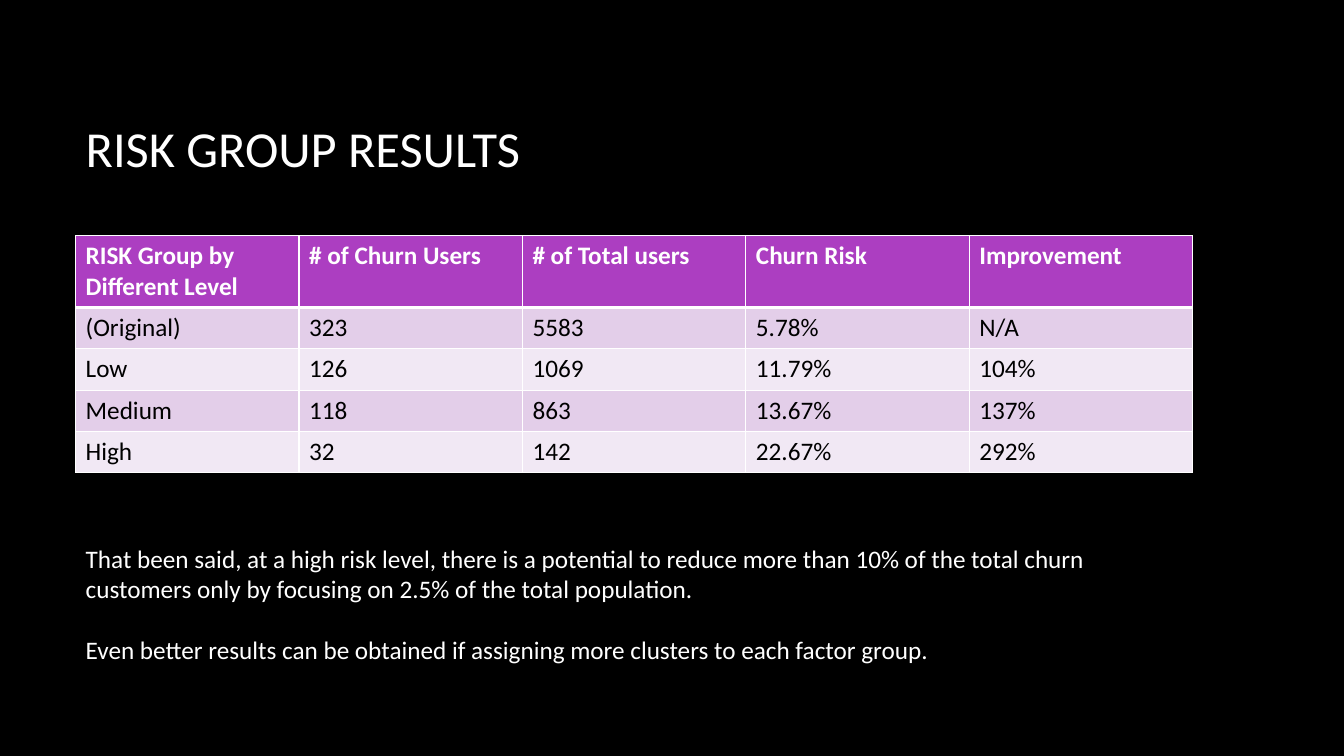
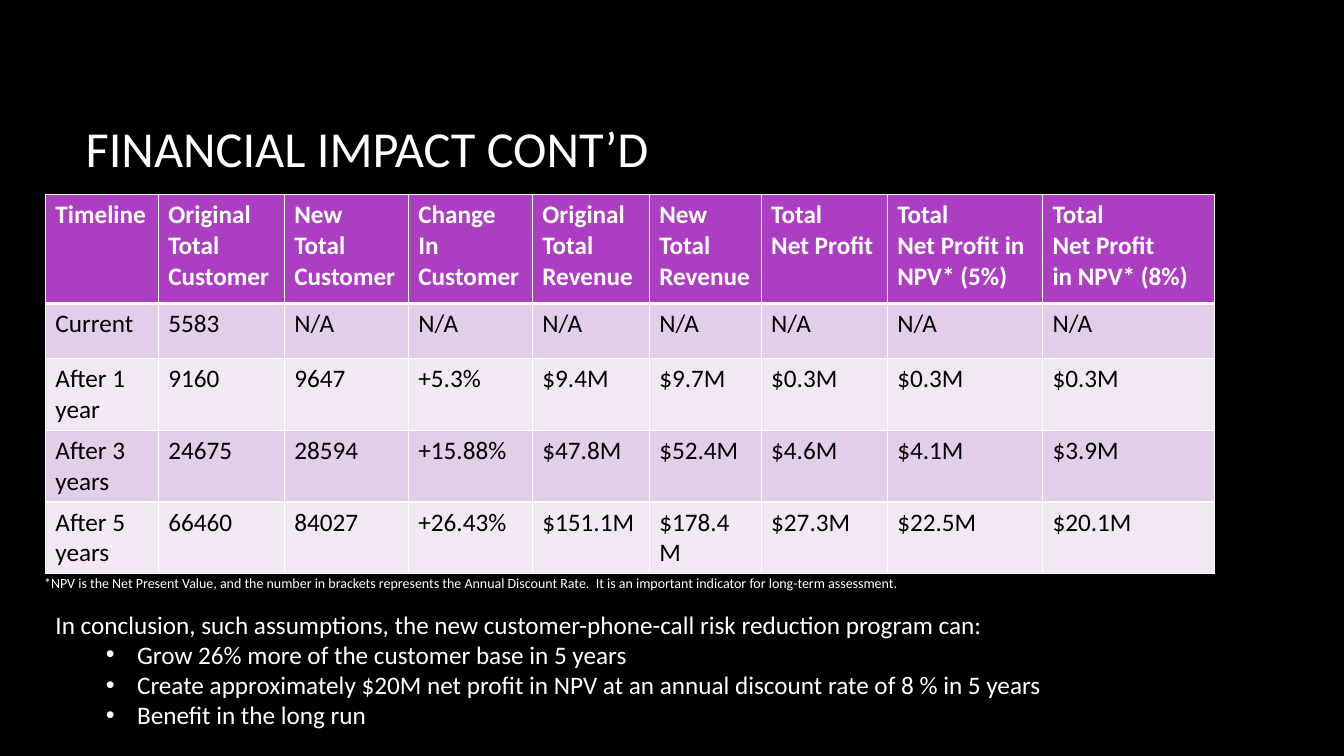
import lxml.etree
import pptx
import pptx.dml.color
import pptx.enum.text
import pptx.oxml.ns
import pptx.util

Inches = pptx.util.Inches
Pt = pptx.util.Pt
qn = pptx.oxml.ns.qn

COLORS = {
    "background": "000000",
    "light_text": "FFFFFF",
    "dark_text": "000000",
    "border": "FFFFFF",
    "header": "AC3EC1",
    "odd_row": "E3CEE9",
    "even_row": "F1E8F4",
}
FONT = "Calibri"
TITLE_BOX = (0.75, 0.67, 11.08, 1.59)
TITLE_SIZE, TEXT_SIZE, NOTE_SIZE = 36, 18, 10
THIN, THICK = 1, 3

RISK_ROWS = [
    ["RISK Group by Different Level", "# of Churn Users", "# of Total users",
     "Churn Risk", "Improvement"],
    ["(Original)", "323", "5583", "5.78%", "N/A"],
    ["Low", "126", "1069", "11.79%", "104%"],
    ["Medium", "118", "863", "13.67%", "137%"],
    ["High", "32", "142", "22.67%", "292%"],
]
RISK_TEXT = [
    "That been said, at a high risk level, there is a potential to reduce more than 10% "
    "of the total churn customers only by focusing on 2.5% of the total population.",
    "Even better results can be obtained if assigning more clusters to each factor group.",
]
IMPACT_ROWS = [
    ["Timeline", "Original Total Customer", "New Total Customer", "Change\nIn\nCustomer",
     "Original\nTotal Revenue", "New\nTotal\nRevenue", "Total\nNet Profit",
     "Total\nNet Profit in NPV* (5%)", "Total\nNet Profit\nin NPV* (8%)"],
    ["Current", "5583"] + ["N/A"] * 7,
    ["After 1 year", "9160", "9647", "+5.3%", "$9.4M", "$9.7M", "$0.3M", "$0.3M", "$0.3M"],
    ["After 3 years", "24675", "28594", "+15.88%", "$47.8M", "$52.4M", "$4.6M", "$4.1M",
     "$3.9M"],
    ["After 5 years", "66460", "84027", "+26.43%", "$151.1M", "$178.4M", "$27.3M", "$22.5M",
     "$20.1M"],
]
IMPACT_NOTE = (
    "*NPV is the Net Present Value, and the number in brackets represents the Annual "
    "Discount Rate.  It is an important indicator for long-term assessment."
)
IMPACT_LEAD = ("In conclusion, such assumptions, the new customer-phone-call risk "
               "reduction program can:")
IMPACT_BULLETS = [
    "Grow 26% more of the customer base in 5 years",
    "Create approximately $20M net profit in NPV at an annual discount rate of 8 % in 5 years",
    "Benefit in the long run",
]


def rgb(name):
    return pptx.dml.color.RGBColor.from_string(COLORS[name])


def place(shape, box):
    shape.left, shape.top, shape.width, shape.height = map(Inches, box)


def set_font(paragraph, size, color="light_text", bold=False):
    font = paragraph.font
    font.name, font.size, font.bold = FONT, Pt(size), bold
    font.color.rgb = rgb(color)


def set_bullet(paragraph, character=None, margin=0, indent=0):
    """Replace the inherited bullet; without a character the paragraph has none."""
    properties = paragraph._p.get_or_add_pPr()
    properties.set("marL", str(Inches(margin)))
    properties.set("indent", str(Inches(indent)))
    if character:
        lxml.etree.SubElement(properties, qn("a:buFont")).set("typeface", "Arial")
        lxml.etree.SubElement(properties, qn("a:buChar")).set("char", character)
    else:
        lxml.etree.SubElement(properties, qn("a:buNone"))


def set_borders(cell, top, bottom):
    properties = cell._tc.get_or_add_tcPr()
    for side, width in (("L", THIN), ("R", THIN), ("T", top), ("B", bottom)):
        line = lxml.etree.SubElement(properties, qn("a:ln" + side), w=str(Pt(width)))
        fill = lxml.etree.SubElement(line, qn("a:solidFill"))
        lxml.etree.SubElement(fill, qn("a:srgbClr"), val=COLORS["border"])


def add_titled_slide(presentation, title):
    slide = presentation.slides.add_slide(presentation.slide_layouts[1])
    place(slide.shapes.title, TITLE_BOX)
    slide.shapes.title.text = title
    paragraph = slide.shapes.title.text_frame.paragraphs[0]
    paragraph.alignment = pptx.enum.text.PP_ALIGN.LEFT
    set_font(paragraph, TITLE_SIZE)
    return slide


def add_grid(slide, left, top, column_widths, row_heights, rows):
    frame = slide.shapes.add_table(
        len(rows), len(column_widths), Inches(left), Inches(top),
        Inches(sum(column_widths)), Inches(sum(row_heights)))
    table = frame.table
    for column, width in zip(table.columns, column_widths):
        column.width = Inches(width)
    for row, height in zip(table.rows, row_heights):
        row.height = Inches(height)
    for row_index, texts in enumerate(rows):
        is_header = row_index == 0
        fill = "header" if is_header else "odd_row" if row_index % 2 else "even_row"
        for column_index, text in enumerate(texts):
            cell = table.cell(row_index, column_index)
            cell.text = text
            set_borders(cell, THICK if row_index == 1 else THIN,
                        THICK if is_header else THIN)
            cell.fill.solid()
            cell.fill.fore_color.rgb = rgb(fill)
            for paragraph in cell.text_frame.paragraphs:
                set_font(paragraph, TEXT_SIZE,
                         "light_text" if is_header else "dark_text", is_header)


def fill_body(slide, box, texts, bullets=(), gap=0):
    """Write plain paragraphs, gap points apart, then bulleted ones."""
    body = slide.placeholders[1]
    place(body, box)
    frame = body.text_frame
    frame.auto_size = pptx.enum.text.MSO_AUTO_SIZE.NONE
    frame.text = "\n".join([*texts, *bullets])
    for index, paragraph in enumerate(frame.paragraphs):
        is_bullet = index >= len(texts)
        paragraph.space_before = Pt(gap if index else 0)
        if is_bullet:
            paragraph.level = 1
            set_bullet(paragraph, "•", 0.81, -0.31)
        else:
            set_bullet(paragraph)
        set_font(paragraph, TEXT_SIZE)


def add_note(slide, box, text):
    frame = slide.shapes.add_textbox(*map(Inches, box)).text_frame
    frame.word_wrap = True
    frame.text = text
    set_font(frame.paragraphs[0], NOTE_SIZE)


def add_risk_slide(presentation):
    slide = add_titled_slide(presentation, "RISK GROUP RESULTS")
    add_grid(slide, 0.75, 2.34, [11.08 / 5] * 5, [0.71] + [0.41] * 4, RISK_ROWS)
    fill_body(slide, (0.75, 5.34, 10.96, 1.31), RISK_TEXT, gap=22)


def add_impact_slide(presentation):
    slide = add_titled_slide(presentation, "FINANCIAL IMPACT CONT’D")
    add_grid(slide, 0.45, 1.93,
             [1.12, 1.25, 1.23, 1.23, 1.16, 1.11, 1.25, 1.54, 1.71],
             [1.08, 0.55] + [0.71] * 3, IMPACT_ROWS)
    add_note(slide, (0.34, 5.65, 11.3, 0.27), IMPACT_NOTE)
    fill_body(slide, (0.45, 5.99, 11.19, 1.31), [IMPACT_LEAD], IMPACT_BULLETS)


def main():
    presentation = pptx.Presentation()
    presentation.slide_width, presentation.slide_height = Inches(13.33), Inches(7.5)
    background = presentation.slide_master.background.fill
    background.solid()
    background.fore_color.rgb = rgb("background")
    add_risk_slide(presentation)
    add_impact_slide(presentation)
    presentation.save("out.pptx")


if __name__ == "__main__":
    main()
